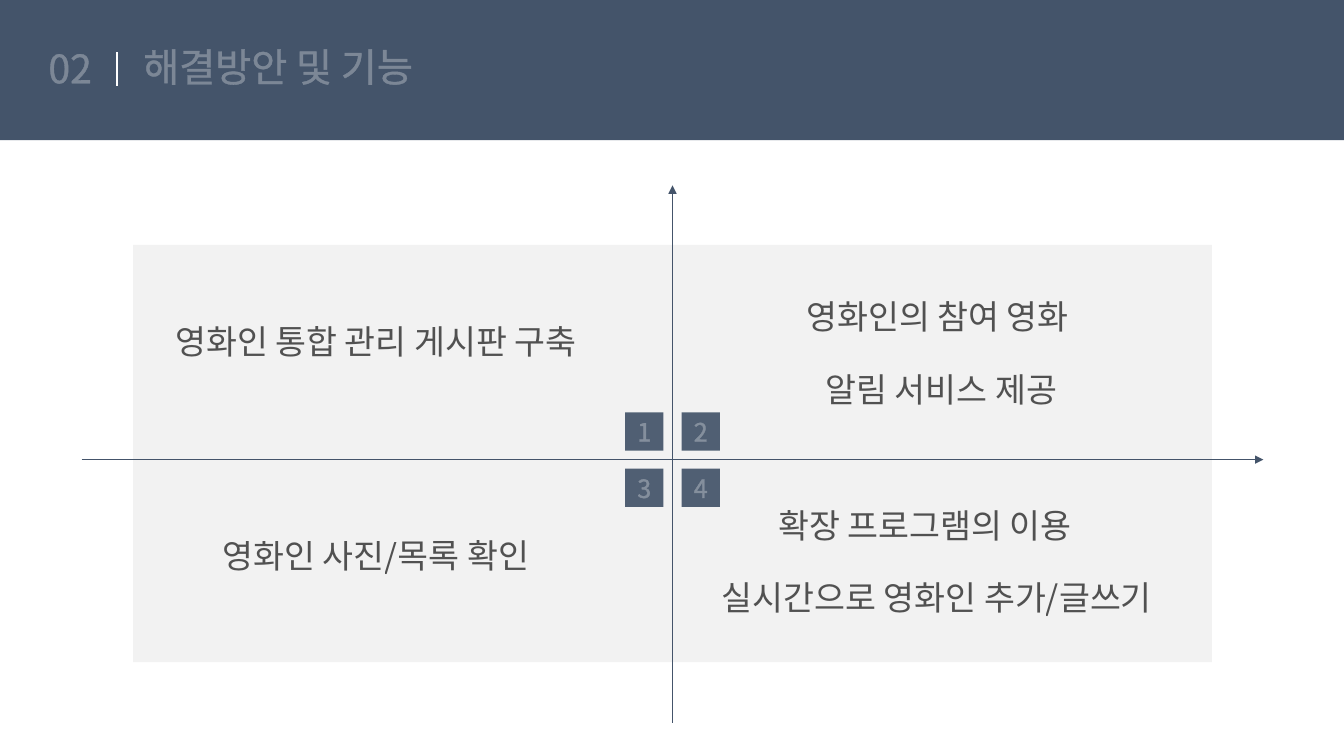
from lxml import etree
from pptx import Presentation
from pptx.dml.color import RGBColor
from pptx.enum import shapes, text
from pptx.oxml.ns import qn
from pptx.util import Inches, Pt

FONT = "Noto Sans CJK KR"
NAVY, WHITE, PALE, DARK = "44546A", "FFFFFF", "F2F2F2", "404040"
CENTER_X, CENTER_Y = 6.67, 4.56


def color(value):
    return RGBColor.from_string(value)


def set_alpha(parent, percent):
    """Make the solid fill inside parent partly transparent."""
    rgb = parent.find(".//" + qn("a:srgbClr"))
    etree.SubElement(rgb, qn("a:alpha"), val=str(percent * 1000))


def place(shape, left, top, width, height):
    shape.left, shape.top = Inches(left), Inches(top)
    shape.width, shape.height = Inches(width), Inches(height)


def format_run(run, size, fill, alpha=None):
    """Set font and colour, with a faint outline in the same colour."""
    run.font.name, run.font.size, run.font.bold = FONT, Pt(size), False
    run.font.color.rgb = color(fill)
    properties = run.font._element
    if alpha:
        set_alpha(properties, alpha)
    etree.SubElement(properties, qn("a:ea"), typeface=FONT)
    outline = etree.Element(qn("a:ln"), w=str(Pt(0.75)))
    solid = etree.SubElement(outline, qn("a:solidFill"))
    etree.SubElement(solid, qn("a:srgbClr"), val=fill)
    set_alpha(outline, 30)
    properties.insert(0, outline)


def fill_header(placeholder, words, box, anchor, space_before):
    place(placeholder, *box)
    frame = placeholder.text_frame
    frame.text = words
    frame.auto_size = text.MSO_AUTO_SIZE.NONE
    frame.vertical_anchor = anchor
    paragraph = frame.paragraphs[0]
    paragraph.alignment = text.PP_ALIGN.LEFT
    paragraph.line_spacing = 0.9
    paragraph.space_before = Pt(space_before)
    properties = paragraph._p.get_or_add_pPr()
    properties.set("marL", "0")
    properties.set("indent", "0")
    etree.SubElement(properties, qn("a:buNone"))
    format_run(paragraph.runs[0], 28, WHITE)


def add_rectangle(slide, left, top, width, height, fill):
    shape = slide.shapes.add_shape(
        shapes.MSO_SHAPE.RECTANGLE,
        Inches(left), Inches(top), Inches(width), Inches(height))
    shape.shadow.inherit = False
    shape.fill.solid()
    shape.fill.fore_color.rgb = color(fill)
    shape.line.fill.background()
    return shape


def add_line(slide, start, end, stroke, width, arrow=False):
    line = slide.shapes.add_connector(
        shapes.MSO_CONNECTOR.STRAIGHT,
        *(Inches(value) for value in (*start, *end)))
    line.line.color.rgb = color(stroke)
    line.line.width = Pt(width)
    if arrow:
        etree.SubElement(line.line._get_or_add_ln(), qn("a:tailEnd"), type="triangle")
    etree.SubElement(line._element.spPr, qn("a:effectLst"))


def add_number(slide, number):
    """Add the numbered square of one quadrant beside the axis crossing."""
    row, column = divmod(number - 1, 2)
    side, pitch = 0.38, 0.56
    square = add_rectangle(slide, CENTER_X - 0.47 + column * pitch,
                           CENTER_Y - 0.47 + row * pitch, side, side, NAVY)
    set_alpha(square._element.spPr, 93)
    frame = square.text_frame
    frame.text = str(number)
    frame.vertical_anchor = text.MSO_ANCHOR.MIDDLE
    frame.paragraphs[0].alignment = text.PP_ALIGN.CENTER
    format_run(frame.paragraphs[0].runs[0], 18, WHITE)


def add_feature(slide, box, lines):
    """Add a quadrant's text; lines are pairs of words and indent."""
    frame = slide.shapes.add_textbox(*(Inches(value) for value in box)).text_frame
    frame.word_wrap = True
    frame.auto_size = text.MSO_AUTO_SIZE.SHAPE_TO_FIT_TEXT
    frame.vertical_anchor = text.MSO_ANCHOR.MIDDLE
    frame.text = "\n".join(words for words, _ in lines)
    for index, (paragraph, (_, indent)) in enumerate(zip(frame.paragraphs, lines)):
        paragraph.space_before = Pt(23 if index else 0)
        paragraph._p.get_or_add_pPr().set("marL", str(Inches(indent)))
        format_run(paragraph.runs[0], 24, DARK, 90)


def main():
    presentation = Presentation()
    presentation.slide_width, presentation.slide_height = Inches(13.33), Inches(7.5)
    slide = presentation.slides.add_slide(presentation.slide_layouts[1])

    band = add_rectangle(slide, 0, 0, 13.33, 1.39, NAVY)
    slide.shapes._spTree.insert(2, band._element)
    add_line(slide, (1.16, 0.52), (1.16, 0.85), WHITE, 1)
    fill_header(slide.placeholders[1], "02", (0.38, 0.44, 0.94, 0.52),
                text.MSO_ANCHOR.TOP, 10)
    fill_header(slide.shapes.title, "해결방안 및 기능", (1.32, 0.42, 4.56, 0.53),
                text.MSO_ANCHOR.MIDDLE, 0)

    add_rectangle(slide, 1.32, 2.43, 10.7, 4.14, PALE)
    add_line(slide, (0.81, CENTER_Y), (12.53, CENTER_Y), NAVY, 0.5, arrow=True)
    add_line(slide, (CENTER_X, 7.17), (CENTER_X, 1.84), NAVY, 0.5, arrow=True)
    for number in range(1, 5):
        add_number(slide, number)

    features = [
        ((1.64, 3.13, 4.83, 0.5), [("영화인 통합 관리 게시판 구축", 0)]),
        ((7.9, 2.84, 3.73, 1.31), [("영화인의 참여 영화", 0), ("알림 서비스 제공", 0.19)]),
        ((2.11, 5.26, 4.83, 0.5), [("영화인 사진/목록 확인", 0)]),
        ((7.06, 4.91, 5.24, 1.31),
         [("확장 프로그램의 이용", 0.56), ("실시간으로 영화인 추가/글쓰기", 0)]),
    ]
    for box, lines in features:
        add_feature(slide, box, lines)

    presentation.save("out.pptx")


if __name__ == "__main__":
    main()
